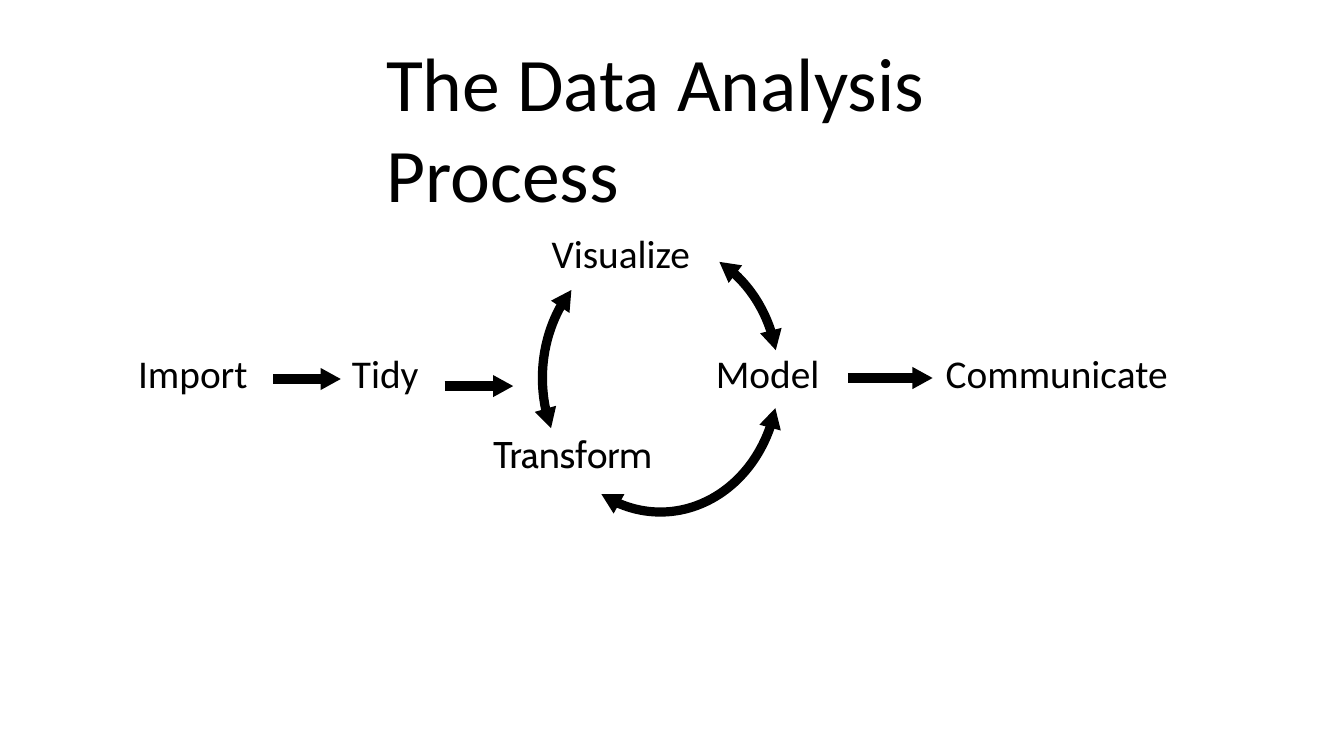
"""Builds the data analysis process slide."""
import math

from lxml import etree
from pptx import Presentation
from pptx import util as u
from pptx.dml.color import RGBColor
from pptx.enum import shapes, text
from pptx.oxml.ns import qn

PX = 9144
BLACK = RGBColor(0, 0, 0)
LINE_WIDTH = u.Pt(6.59)
CENTRE_X, CENTRE_Y = 655, 375
RADIUS_X, RADIUS_Y = 117, 133
HEAD_LENGTH, HEAD_HALF_WIDTH = 20, 11
HEAD_OVERLAP = 3
HEAD_ANGLE = 8

FRAME = {"word_wrap": True, "auto_size": text.MSO_AUTO_SIZE.NONE,
         "vertical_anchor": text.MSO_ANCHOR.TOP,
         "margin_left": 0, "margin_top": PX,
         "margin_right": 0, "margin_bottom": 0}

TITLE = ("The Data Analysis Process", 383, 35, 683, 85, 54, "Calibri")
STEPS = [("Import", 137, 345, 114, 55, 28.1, "Calibri"),
         ("Tidy", 349, 345, 72, 55, 28.1, "Calibri"),
         ("Visualize", 547, 226, 145, 55, 28.1, "Calibri"),
         ("Transform", 489, 427, 188, 52, 26.5, "Cabin"),
         ("Model", 710, 345, 114, 55, 28.1, "Calibri"),
         ("Communicate", 938, 345, 233, 55, 28.1, "Calibri")]
ARROWS = [(271, 338, 376), (441, 509, 383), (841, 925, 375)]
ARCS = [(13, 120), (158, 221), (-60, -12)]


def set_all(obj, values):
    """Set every attribute in values on obj."""
    for name, value in values.items():
        setattr(obj, name, value)


def add_label(s, words, x, y, w, h, size, font):
    """Add a text box holding one line of words."""
    sp = s.shapes.add_textbox(x * PX, y * PX, w * PX, h * PX)
    tf = sp.text_frame
    set_all(tf, FRAME)
    r = tf.paragraphs[0].add_run()
    r.text = words
    set_all(r.font, {"name": font, "size": u.Pt(size)})
    r.font.color.rgb = BLACK


def style_line(sp):
    """Give a line its colour and width."""
    sp.line.width = LINE_WIDTH
    sp.line.color.rgb = BLACK


def add_outline(s, points, close):
    """Add a freeform through points given in px."""
    first, *rest = [(x * PX, y * PX) for x, y in points]
    builder = s.shapes.build_freeform(*first, scale=1)
    builder.add_line_segments(rest, close=close)
    sp = builder.convert_to_shape()
    sp.shadow.inherit = False
    return sp


def add_head(s, tail, tip):
    """Add a solid arrowhead at tip, pointing away from tail."""
    (x1, y1), (x2, y2) = tail, tip
    length = math.dist(tail, tip)
    dx, dy = (x2 - x1) / length, (y2 - y1) / length
    base_x, base_y = x2 - HEAD_LENGTH * dx, y2 - HEAD_LENGTH * dy
    corners = [(base_x - side * dy, base_y + side * dx)
               for side in (HEAD_HALF_WIDTH, -HEAD_HALF_WIDTH)]
    sp = add_outline(s, [tip, *corners], True)
    sp.fill.solid()
    sp.fill.fore_color.rgb = BLACK
    sp.line.fill.background()


def add_arrow(s, x1, x2, y):
    """Add a horizontal arrow from x1 to x2."""
    shaft_end = x2 - HEAD_LENGTH + HEAD_OVERLAP
    sp = s.shapes.add_connector(shapes.MSO_CONNECTOR.STRAIGHT,
                                x1 * PX, y * PX, shaft_end * PX, y * PX)
    style_line(sp)
    etree.SubElement(sp._element.spPr, qn("a:effectLst"))
    add_head(s, (x1, y), (x2, y))


def ellipse_point(degrees):
    """Return the point of the cycle's ellipse at an angle."""
    t = math.radians(degrees)
    return (CENTRE_X + RADIUS_X * math.cos(t), CENTRE_Y + RADIUS_Y * math.sin(t))


def add_arc(s, start, end):
    """Add a double-headed arc of the cycle between two angles."""
    points = [ellipse_point(a) for a in range(start + HEAD_ANGLE, end - HEAD_ANGLE + 1)]
    sp = add_outline(s, points, False)
    sp.fill.background()
    style_line(sp)
    add_head(s, points[0], ellipse_point(start))
    add_head(s, points[-1], ellipse_point(end))


def main():
    """Build the slide and save it."""
    prs = Presentation()
    set_all(prs, {"slide_width": 1333 * PX, "slide_height": 750 * PX})
    s = prs.slides.add_slide(prs.slide_layouts[6])
    for label in [TITLE, *STEPS]:
        add_label(s, *label)
    for arrow in ARROWS:
        add_arrow(s, *arrow)
    for arc in ARCS:
        add_arc(s, *arc)
    prs.save("out.pptx")


if __name__ == "__main__":
    main()
